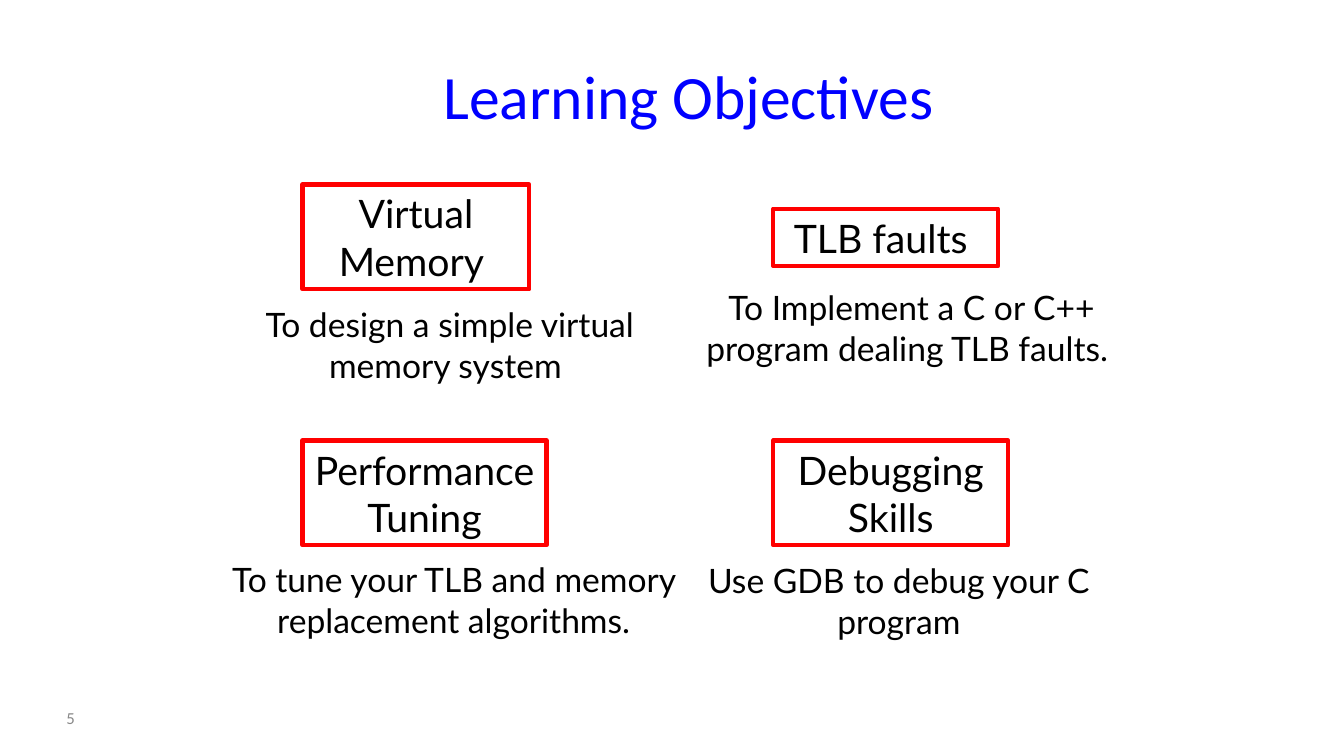
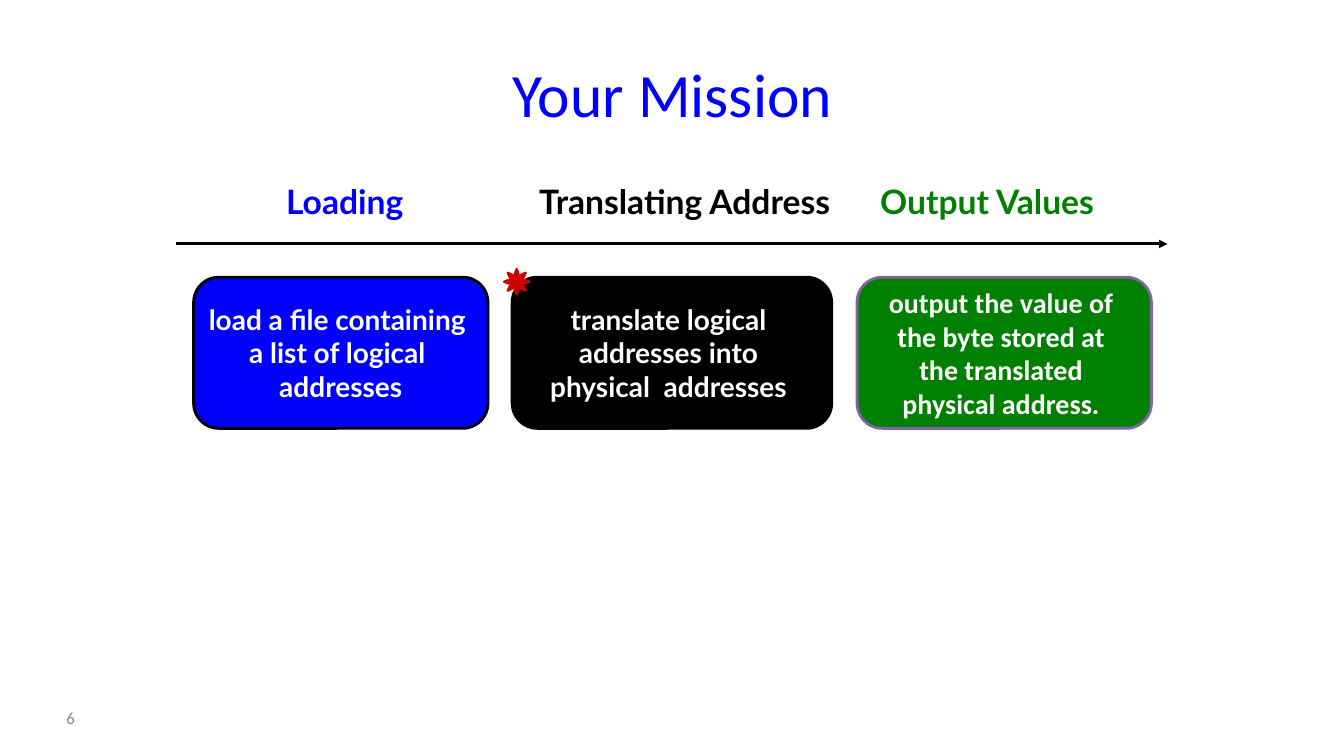
from dataclasses import dataclass

from lxml.etree import SubElement
from pptx import Presentation
from pptx.dml.color import RGBColor
from pptx.enum.shapes import MSO_CONNECTOR, MSO_SHAPE
from pptx.enum.text import MSO_ANCHOR, MSO_AUTO_SIZE, PP_ALIGN
from pptx.oxml.ns import qn
from pptx.util import Inches, Pt


@dataclass(frozen=True)
class Theme:
    blue: RGBColor = RGBColor(0x00, 0x00, 0xFF)
    black: RGBColor = RGBColor(0x00, 0x00, 0x00)
    white: RGBColor = RGBColor(0xFF, 0xFF, 0xFF)
    green: RGBColor = RGBColor(0x00, 0x80, 0x00)
    red: RGBColor = RGBColor(0xFF, 0x00, 0x00)
    crimson: RGBColor = RGBColor(0xCC, 0x00, 0x00)
    purple: RGBColor = RGBColor(0x80, 0x64, 0xA2)
    gray: RGBColor = RGBColor(0x89, 0x89, 0x89)
    head: str = "Calibri"
    body: str = "Lato"
    title: int = 44
    topic: int = 28
    text: int = 24
    step: int = 20
    small: int = 12


theme = Theme()


def write(shape, text, size, color, font=theme.body, bold=False,
          anchor=MSO_ANCHOR.MIDDLE, align=PP_ALIGN.CENTER, wrap=True):
    """Fill a shape with text, one paragraph a line."""
    frame = shape.text_frame
    frame.text = text
    frame.word_wrap = wrap
    frame.auto_size = MSO_AUTO_SIZE.NONE
    frame.vertical_anchor = anchor
    for para in frame.paragraphs:
        para.alignment = align
        para.font.name = font
        para.font.size = Pt(size)
        para.font.bold = bold
        para.font.color.rgb = color


def draw(slide, kind, box, fill, line, width):
    """Add a flat preset shape."""
    shape = slide.shapes.add_shape(kind, *map(Inches, box))
    shape.shadow.inherit = False
    shape.fill.solid()
    shape.fill.fore_color.rgb = fill
    shape.line.color.rgb = line
    shape.line.width = Pt(width)
    return shape


deck = Presentation()
deck.slide_width, deck.slide_height = Inches(13.33), Inches(7.5)

# Titles and slide numbers
pages = [
    ("Learning Objectives", "5", (2.49, 0.13, 8.68, 1.62)),
    ("Your Mission", "6", (0.67, 0.3, 12, 1.25)),
]
slides = []
for name, number, box in pages:
    slide = deck.slides.add_slide(deck.slide_layouts[5])
    title = slide.shapes.title
    title.left, title.top, title.width, title.height = map(Inches, box)
    write(title, name, theme.title, theme.blue, theme.head)
    foot = slide.shapes.add_textbox(*map(Inches, (0.56, 6.92, 1.44, 0.4)))
    write(foot, number, theme.small, theme.gray, theme.head,
          align=PP_ALIGN.LEFT)
    slides.append(slide)
goals, mission = slides

# Objectives: a framed topic with a note below it
topics = [
    ("Virtual Memory ", (3, 1.83, 2.25, 1.04),
     "To design a simple virtual memory system ", (2.25, 2.97, 4.42, 0.91)),
    ("TLB faults ", (7.67, 2.07, 2.23, 0.57),
     "To Implement a C or C++ program dealing TLB faults. ",
     (6.83, 2.8, 4.42, 0.91)),
    ("Performance Tuning", (3, 4.37, 2.42, 1.04),
     "To tune your TLB and memory replacement algorithms.",
     (2, 5.5, 5, 0.91)),
    ("Debugging Skills", (7.67, 4.37, 2.33, 1.04),
     "Use GDB to debug your C program", (6.83, 5.51, 4.17, 0.91)),
]
for topic, frame, note, area in topics:
    card = draw(goals, MSO_SHAPE.RECTANGLE, frame, theme.white, theme.red, 3)
    write(card, topic, theme.topic, theme.black)
    label = goals.shapes.add_textbox(*map(Inches, area))
    write(label, note, theme.text, theme.black, anchor=MSO_ANCHOR.TOP)

# Mission: three steps, each with a heading and a rounded card
steps = [
    ("Loading", 1.92, 3, 1.92, 2.92, theme.blue, theme.black, theme.body,
     "load a file containing \na list of logical \naddresses"),
    ("Translating Address", 5.08, 3.42, 5.08, 3.17, theme.black, theme.black,
     theme.body, "translate logical \naddresses into \nphysical  addresses "),
    (" Output Values ", 8.33, 2.92, 8.5, 2.92, theme.green, theme.purple,
     theme.head, "output the value of \nthe byte stored at \n"
     "the translated \nphysical address. "),
]
for name, x, wide, left, width, color, edge, font, text in steps:
    label = mission.shapes.add_textbox(*map(Inches, (x, 1.75, wide, 0.5)))
    write(label, name, theme.text, color, bold=True, anchor=MSO_ANCHOR.TOP)
    card = draw(mission, MSO_SHAPE.ROUNDED_RECTANGLE,
                (left, 2.75, width, 1.5), color, edge, 2)
    write(card, text, theme.step, theme.white, font, bold=True, wrap=False)

# Time arrow
arrow = mission.shapes.add_connector(
    MSO_CONNECTOR.STRAIGHT, *map(Inches, (1.75, 2.42, 11.58, 2.42)))
arrow.line.color.rgb = theme.black
arrow.line.width = Pt(2)
SubElement(arrow.line._get_or_add_ln(), qn("a:tailEnd"), type="triangle")
SubElement(arrow._element.spPr, qn("a:effectLst"))

# Marker on the second step
draw(mission, MSO_SHAPE.SUN, (5, 2.67, 0.25, 0.25),
     theme.crimson, theme.crimson, 1.75)

deck.save("out.pptx")
